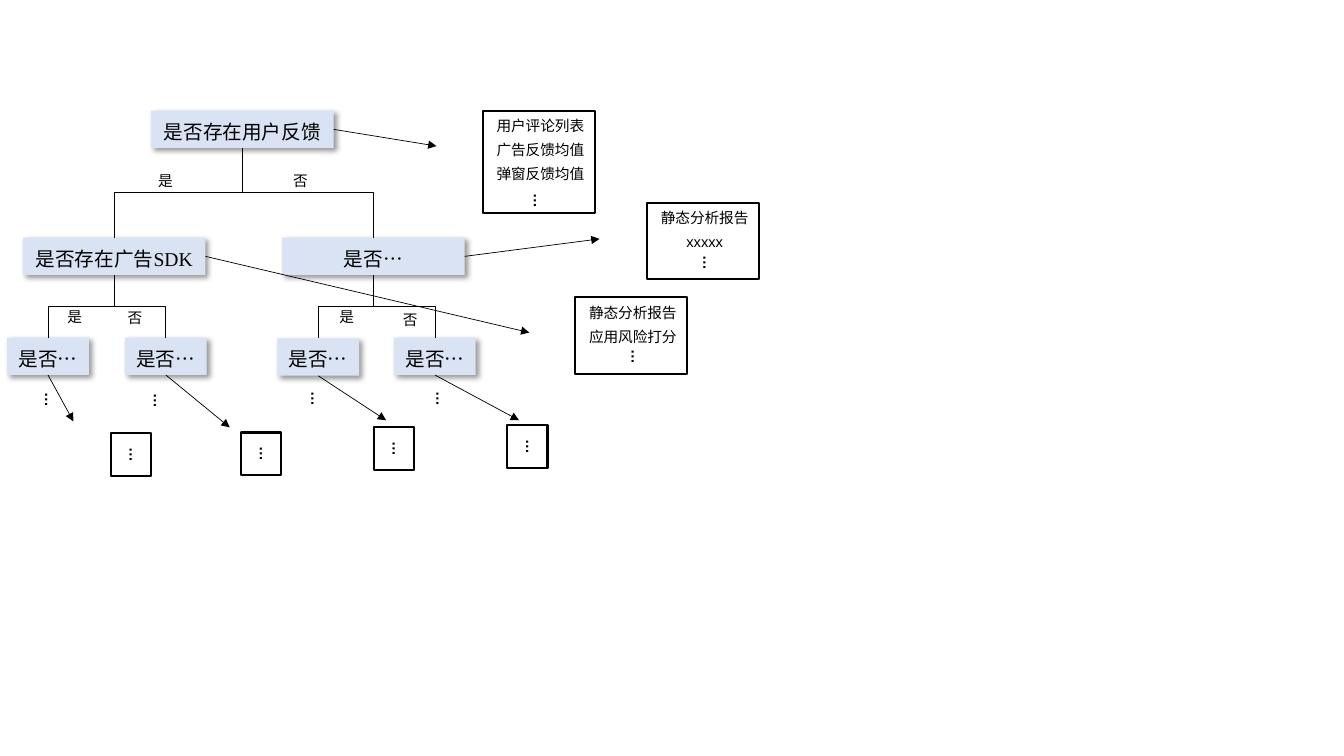
from lxml import etree
from pptx import Presentation
from pptx import util as u
from pptx.dml.color import RGBColor
from pptx.enum import shapes, text
from pptx.oxml.ns import qn

COLORS = {"ink": "000000", "node": "DAE3F3"}
NODE_FONT = {"name": "Times New Roman", "size": u.Pt(14)}
CAPTION_FONT = {"name": "Arial", "size": u.Pt(10.5)}
DOTS_FONT = {**CAPTION_FONT, "bold": True}
RECT = shapes.MSO_SHAPE.RECTANGLE
TOP, BOTTOM, RIGHT = 0, 2, 3


def write(box, words, font):
    """Put one centred line of text into a box."""
    box.text_frame.word_wrap = True
    para = box.text_frame.paragraphs[0]
    para.alignment = text.PP_ALIGN.CENTER
    span = para.add_run()
    span.text = words
    for key, value in font.items():
        setattr(span.font, key, value)
    span.font.color.rgb = RGBColor.from_string(COLORS["ink"])


def style_line(line):
    """Make a connector thin and black, without a shadow."""
    line.line.width = u.Pt(0.5)
    line.line.color.rgb = RGBColor.from_string(COLORS["ink"])
    etree.SubElement(line.element.spPr, qn("a:effectLst"))


deck = Presentation()
deck.slide_width, deck.slide_height = u.Cm(33.87), u.Cm(19.05)
page = deck.slides.add_slide(deck.slide_layouts[6])

# Tree nodes: left, top, width, words
nodes = {}
for name, left, top, width, words in [
    ("root", 3.81, 2.79, 4.6, "是否存在用户反馈"),
    ("ad", 0.58, 5.99, 4.6, "是否存在广告SDK"),
    ("other", 7.11, 5.99, 4.6, "是否…"),
    ("leaf1", 0.18, 8.51, 2.06, "是否…"),
    ("leaf2", 3.15, 8.51, 2.06, "是否…"),
    ("leaf3", 6.99, 8.53, 2.06, "是否…"),
    ("leaf4", 9.93, 8.51, 2.06, "是否…"),
]:
    node = page.shapes.add_shape(RECT, u.Cm(left), u.Cm(top), u.Cm(width), u.Cm(0.94))
    node.fill.solid()
    node.fill.fore_color.rgb = RGBColor.from_string(COLORS["node"])
    node.line.fill.background()
    node.shadow.inherit = False
    effects = node.element.spPr.find(qn("a:effectLst"))
    shadow = etree.SubElement(effects, qn("a:outerShdw"), blurRad="50800", dist="38100",
                              dir="2700000", algn="tl", rotWithShape="0")
    shade = etree.SubElement(shadow, qn("a:srgbClr"), val=COLORS["ink"])
    etree.SubElement(shade, qn("a:alpha"), val="40000")
    node.text_frame.vertical_anchor = text.MSO_ANCHOR.BOTTOM
    node.text_frame.margin_left = node.text_frame.margin_right = u.Cm(0.1)
    write(node, words, NODE_FONT)
    nodes[name] = node

# Branches: elbows that leave downwards, so each is turned a quarter
for parent, child in [("root", "ad"), ("root", "other"), ("ad", "leaf1"),
                      ("ad", "leaf2"), ("other", "leaf3"), ("other", "leaf4")]:
    branch = page.shapes.add_connector(shapes.MSO_CONNECTOR.ELBOW, 0, 0, 0, 0)
    branch.begin_connect(nodes[parent], BOTTOM)
    branch.end_connect(nodes[child], TOP)
    start_x, start_y, end_x, end_y = branch.begin_x, branch.begin_y, branch.end_x, branch.end_y
    across, down = abs(end_x - start_x), end_y - start_y
    branch.left = (start_x + end_x - down) // 2
    branch.top = (start_y + end_y - across) // 2
    branch.width, branch.height = down, across
    to_right = end_x > start_x
    frame = branch.element.spPr.find(qn("a:xfrm"))
    frame.set("rot", "16200000" if to_right else "5400000")
    frame.set("flipH", "1" if to_right else "0")
    frame.set("flipV", "0")
    style_line(branch)

# Arrows from nodes towards their data
for name, side, end_x, end_y in [
    ("root", RIGHT, 11, 3.68), ("ad", RIGHT, 13.34, 8.38), ("other", RIGHT, 15.11, 6.02),
    ("leaf1", BOTTOM, 1.85, 10.62), ("leaf2", BOTTOM, 5.79, 10.77),
    ("leaf3", BOTTOM, 9.73, 10.59), ("leaf4", BOTTOM, 13.08, 10.59),
]:
    arrow = page.shapes.add_connector(shapes.MSO_CONNECTOR.STRAIGHT, 0, 0, u.Cm(end_x), u.Cm(end_y))
    arrow.begin_connect(nodes[name], side)
    style_line(arrow)
    etree.SubElement(arrow.element.spPr.find(qn("a:ln")), qn("a:tailEnd"), type="triangle")

# Captions: holder, words, centre x, centre y
captions = [(page.shapes, *caption) for caption in [
    ("是", 4.17, 4.56), ("否", 7.57, 4.56),
    ("是", 1.88, 7.99), ("否", 3.4, 8.01), ("是", 8.74, 7.99), ("否", 10.34, 8.06),
    ("…", 1.27, 10.08), ("…", 4.01, 10.11), ("…", 7.98, 10.06), ("…", 11.13, 10.06),
]]

# Data panels: left, top, width, height, lines, offset of the dots from the corner
for left, top, width, height, lines, dots_x, dots_y in [
    (12.17, 2.79, 2.82, 2.59, ["用户评论列表", "广告反馈均值", "弹窗反馈均值"], 1.42, 2.26),
    (14.5, 7.49, 2.82, 1.93, ["静态分析报告", "应用风险打分"], 1.55, 1.5),
    (16.31, 5.11, 2.82, 1.93, ["静态分析报告", "xxxxx"], 1.55, 1.52),
    (2.79, 10.92, 1.02, 1.07, [], 0.61, 0.53),
    (6.07, 10.9, 1.02, 1.07, [], 0.61, 0.53),
    (9.42, 10.77, 1.02, 1.07, [], 0.61, 0.53),
    (12.78, 10.72, 1.02, 1.07, [], 0.61, 0.53),
]:
    group = page.shapes.add_group_shape()
    panel = group.shapes.add_shape(RECT, u.Cm(left), u.Cm(top), u.Cm(width), u.Cm(height))
    panel.fill.background()
    panel.line.width = u.Pt(1.5)
    panel.line.color.rgb = RGBColor.from_string(COLORS["ink"])
    panel.shadow.inherit = False
    for row, words in enumerate(lines):
        captions.append((group.shapes, words, left + width / 2 + 0.04, top + 0.4 + 0.6 * row))
    captions.append((group.shapes, "…", left + dots_x, top + dots_y))

# Draw the captions; the dots stand upright
for holder, words, center_x, center_y in captions:
    dots = words == "…"
    width = 1.07 if dots else 1.22 if len(words) == 1 else 4.2
    box = holder.add_textbox(u.Cm(center_x - width / 2), u.Cm(center_y - 0.36), u.Cm(width), u.Cm(0.72))
    box.rotation = 90 if dots else 0
    write(box, words, DOTS_FONT if dots else CAPTION_FONT)
    box.text_frame.auto_size = text.MSO_AUTO_SIZE.SHAPE_TO_FIT_TEXT

deck.save("out.pptx")
